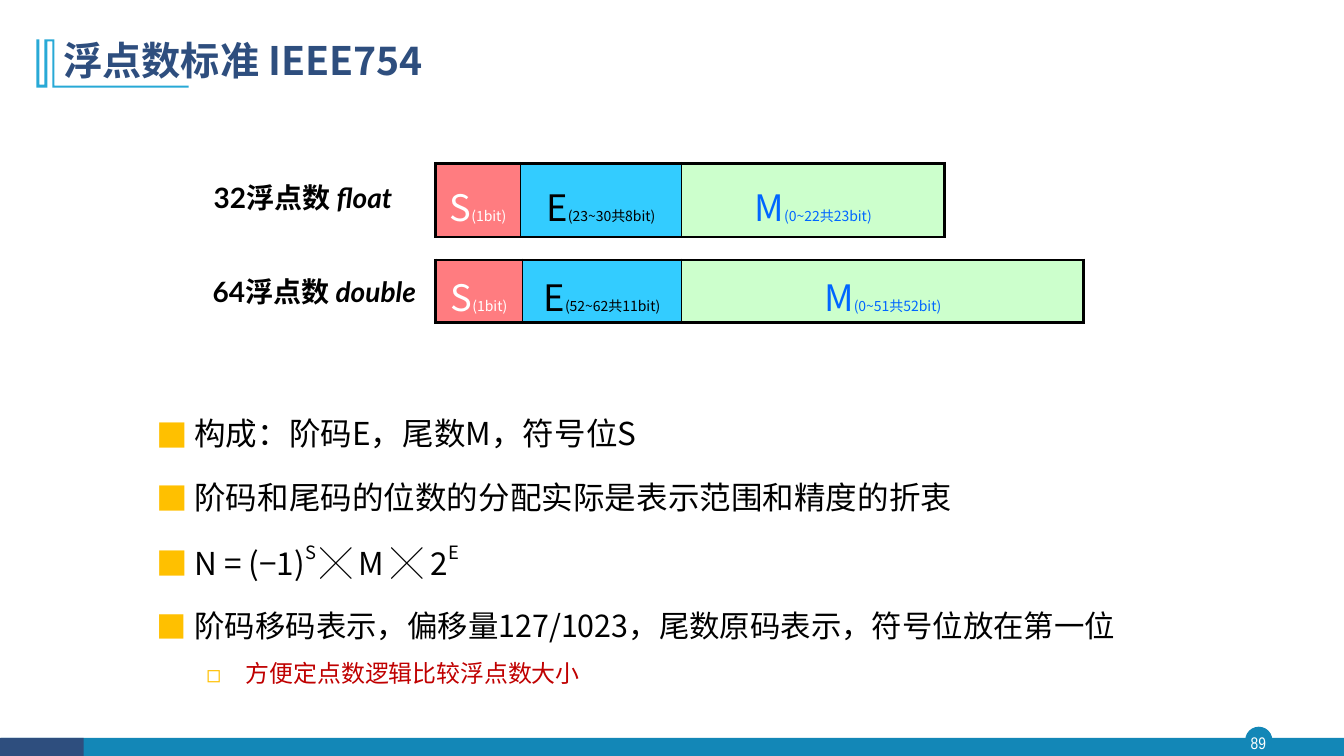
from dataclasses import dataclass

from lxml import etree
from pptx import Presentation
from pptx import util as u
from pptx.dml.color import RGBColor
from pptx.enum import shapes, text
from pptx.oxml import ns

PX = 9144  # EMU per px, 100 px to the inch


@dataclass(frozen=True)
class Theme:
    sans: str = "Noto Sans CJK SC"
    label: str = "Lato"
    number: str = "Arial Narrow"
    navy: str = "2E4E7E"
    blue: str = "1387B7"
    cyan: str = "28A9D6"
    black: str = "000000"
    white: str = "FFFFFF"
    bullet: str = "FFC000"
    note: str = "C00000"
    fills: tuple = ("FF7C80", "33CCFF", "CCFFCC")
    inks: tuple = ("FFFFFF", "000000", "0066FF")
    title_size: float = 28
    body_size: float = 22.5
    long_size: float = 21.7
    note_size: float = 17.1
    label_size: float = 20
    symbol_size: float = 26
    bits_size: float = 10
    number_size: float = 12


THEME = Theme()
FRAME_MARK = [(54, 39), (54, 85), (187, 85), (187, 87), (52, 87), (52, 41), (47, 41),
              (47, 87), (36, 87), (36, 39), (39, 39), (39, 84), (44, 84), (44, 39)]
# label, label box, table top, row height, line spacing, cell top and bottom margins,
# column widths, bit ranges
FORMATS = [
    (("32浮点数 ", "float"), (202, 174, 206, 44), 162, 73, 1.2, (5, 5),
     (84, 160, 261), ("(1bit)", "(23~30共8bit)", "(0~22共23bit)")),
    (("64浮点数 ", "double"), (201, 267, 236, 44), 258, 62, 1.0, (9, 0),
     (86, 158, 399), ("(1bit)", "(52~62共11bit)", "(0~51共52bit)")),
]
FORMULA = [("N = (−1)", ""), ("S ", "raised"), ("╳", "bold"), (" M ", ""),
           ("╳ ", "bold"), ("2", ""), ("E", "raised")]


def px(*lengths):
    return [u.Emu(length * PX) for length in lengths]


def add_span(para, words, size, color, font=THEME.sans, bold=False, italic=False):
    span = para.add_run()
    span.text = words
    span.font.size = u.Pt(size)
    span.font.name = font
    span.font.bold = bold
    span.font.italic = italic
    span.font.color.rgb = RGBColor.from_string(color)
    east_asian = etree.Element(ns.qn("a:ea"), typeface=THEME.sans)
    span.font._element.find(ns.qn("a:latin")).addnext(east_asian)
    return span


def paint(shape, color):
    shape.shadow.inherit = False
    shape.fill.solid()
    shape.fill.fore_color.rgb = RGBColor.from_string(color)
    shape.line.fill.background()


def add_block(page, kind, area, color):
    paint(page.shapes.add_shape(kind, *px(*area), ), color)


def add_box(page, area):
    frame = page.shapes.add_textbox(*px(*area)).text_frame
    frame.word_wrap = True
    return frame


def add_footer(page):
    add_block(page, shapes.MSO_SHAPE.OVAL, (1235, 721, 27, 27), THEME.blue)
    add_block(page, shapes.MSO_SHAPE.RECTANGLE, (1, 732, 1332, 19), THEME.blue)
    add_block(page, shapes.MSO_SHAPE.RECTANGLE, (0, 732, 83, 19), THEME.navy)
    frame = add_box(page, (1232, 721, 32, 31))
    frame.margin_left = frame.margin_right = frame.margin_top = frame.margin_bottom = 0
    frame.vertical_anchor = text.MSO_ANCHOR.MIDDLE
    para = frame.paragraphs[0]
    para.alignment = text.PP_ALIGN.CENTER
    add_span(para, "89", THEME.number_size, THEME.white, THEME.number)


def add_title(page):
    builder = page.shapes.build_freeform(*FRAME_MARK[0], scale=PX)
    builder.add_line_segments(FRAME_MARK[1:], close=True)
    paint(builder.convert_to_shape(), THEME.cyan)
    title = page.shapes.title
    title.left, title.top, title.width, title.height = px(53, 28, 1150, 68)
    frame = title.text_frame
    frame.auto_size = text.MSO_AUTO_SIZE.NONE
    frame.vertical_anchor = text.MSO_ANCHOR.MIDDLE
    para = frame.paragraphs[0]
    para.alignment = text.PP_ALIGN.LEFT
    para.line_spacing = 0.9
    add_span(para, "浮点数标准 IEEE754", THEME.title_size, THEME.navy, bold=True)


def set_borders(cell, widths):
    """Draw black left, right, top and bottom borders, widths in points."""
    properties = cell._tc.get_or_add_tcPr()
    for place, (side, width) in enumerate(zip("LRTB", widths)):
        line = etree.Element(ns.qn(f"a:ln{side}"), w=str(u.Pt(width)))
        fill = etree.SubElement(line, ns.qn("a:solidFill"))
        etree.SubElement(fill, ns.qn("a:srgbClr"), val=THEME.black)
        properties.insert(place, line)


def add_format(page, label, label_area, top, height, spacing, margins, widths, ranges):
    """Add one number format: its label and its table of S, E and M fields."""
    para = add_box(page, label_area).paragraphs[0]
    for words, italic in zip(label, (False, True)):
        add_span(para, words, THEME.label_size, THEME.black, THEME.label, True, italic)

    area = px(432, top, sum(widths), height)
    table = page.shapes.add_table(1, len(widths), *area).table
    table.first_row = table.horz_banding = False
    for index, (symbol, bits) in enumerate(zip("SEM", ranges)):
        table.columns[index].width = px(widths[index])[0]
        cell = table.cell(0, index)
        cell.fill.solid()
        cell.fill.fore_color.rgb = RGBColor.from_string(THEME.fills[index])
        cell.margin_top, cell.margin_bottom = px(*margins)
        left = 1 if index else 2.25
        right = 2.25 if index == len(widths) - 1 else 1
        set_borders(cell, (left, right, 2.25, 2.25))
        para = cell.text_frame.paragraphs[0]
        para.alignment = text.PP_ALIGN.CENTER
        para.line_spacing = spacing
        add_span(para, symbol, THEME.symbol_size, THEME.inks[index])
        add_span(para, bits, THEME.bits_size, THEME.inks[index])


def add_bullet(para, mark, left, hanging):
    properties = para._p.get_or_add_pPr()
    properties.set("marL", str(left * PX))
    properties.set("indent", str(-hanging * PX))
    color = etree.SubElement(properties, ns.qn("a:buClr"))
    etree.SubElement(color, ns.qn("a:srgbClr"), val=THEME.bullet)
    etree.SubElement(properties, ns.qn("a:buFont"), typeface=THEME.sans)
    etree.SubElement(properties, ns.qn("a:buChar"), char=mark)


def add_points(page):
    points = [
        ([("构成：阶码E，尾数M，符号位S", "")], THEME.body_size),
        ([("阶码和尾码的位数的分配实际是表示范围和精度的折衷", "")], THEME.body_size),
        (FORMULA, THEME.body_size),
        ([("阶码移码表示，偏移量127/1023，尾数原码表示，符号位放在第一位", "")], THEME.long_size),
        ([("方便定点数逻辑比较浮点数大小", "")], THEME.note_size),
    ]
    frame = add_box(page, (145, 395, 1084, 304))
    for index, (pieces, size) in enumerate(points):
        para = frame.add_paragraph() if index else frame.paragraphs[0]
        is_note = size == THEME.note_size
        if is_note:
            para.level = 1
            add_bullet(para, "◻", 89, 39)
        else:
            add_bullet(para, "■", 38, 38)
        para.alignment = text.PP_ALIGN.JUSTIFY
        para.line_spacing = 1.3
        if index:
            para.space_before = u.Pt(5 if is_note else 10)
        for words, style in pieces:
            color = THEME.note if is_note else THEME.black
            span = add_span(para, words, size, color, bold=style == "bold")
            if style == "raised":
                span.font._element.set("baseline", "50000")


def main():
    deck = Presentation()
    deck.slide_width, deck.slide_height = px(1333, 750)
    page = deck.slides.add_slide(deck.slide_layouts[5])
    add_footer(page)
    add_title(page)
    add_points(page)
    for number_format in FORMATS:
        add_format(page, *number_format)
    deck.save("out.pptx")


if __name__ == "__main__":
    main()
